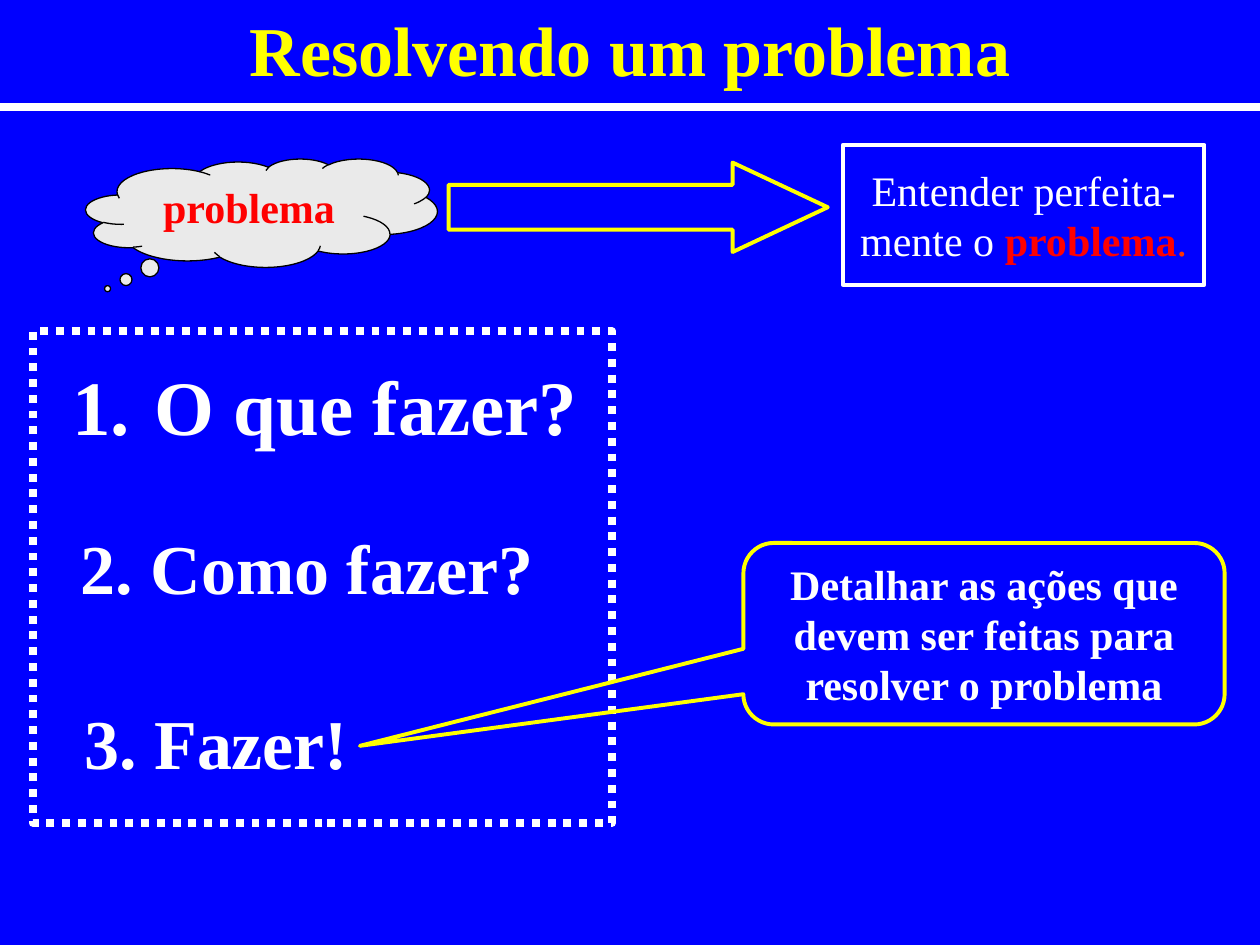
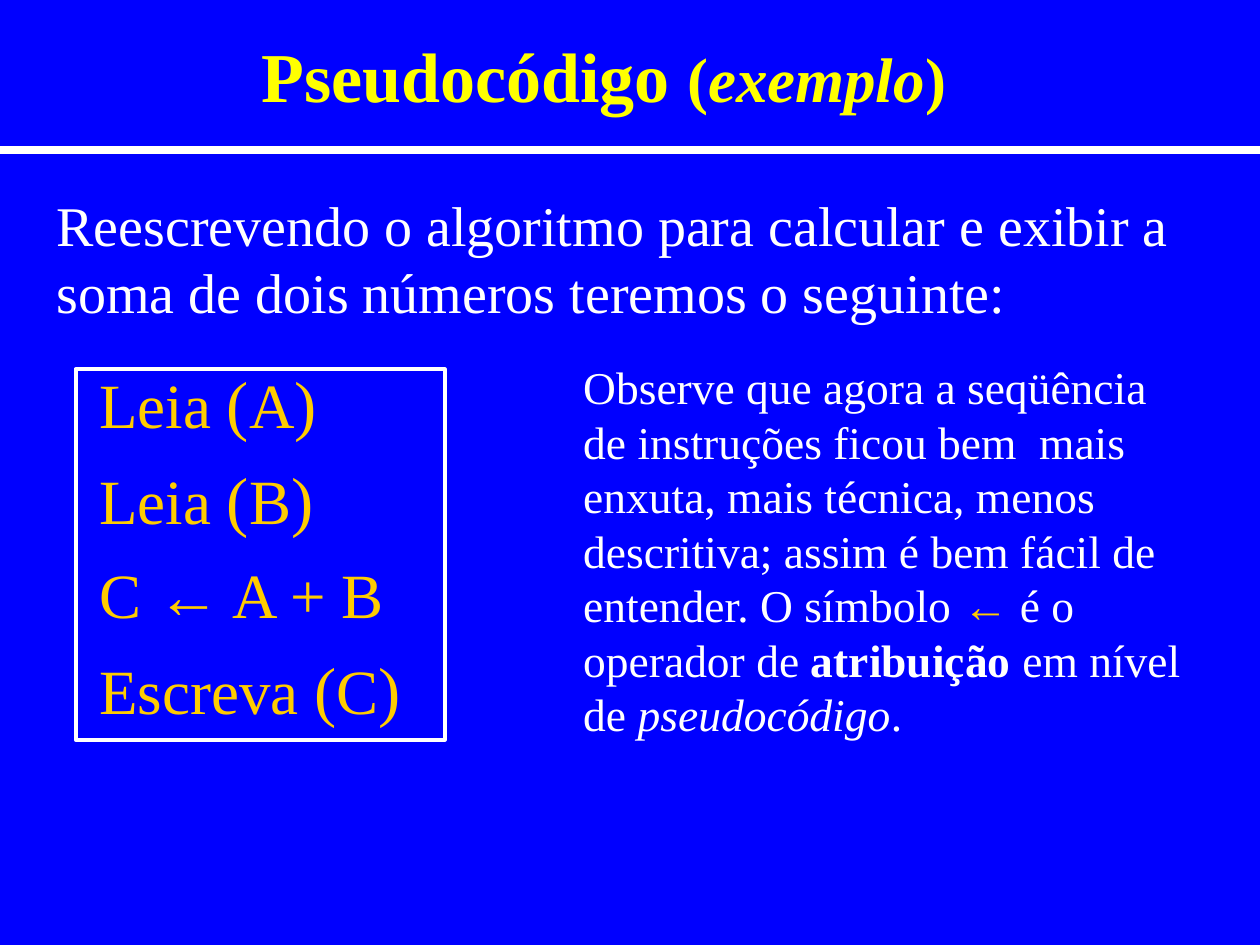
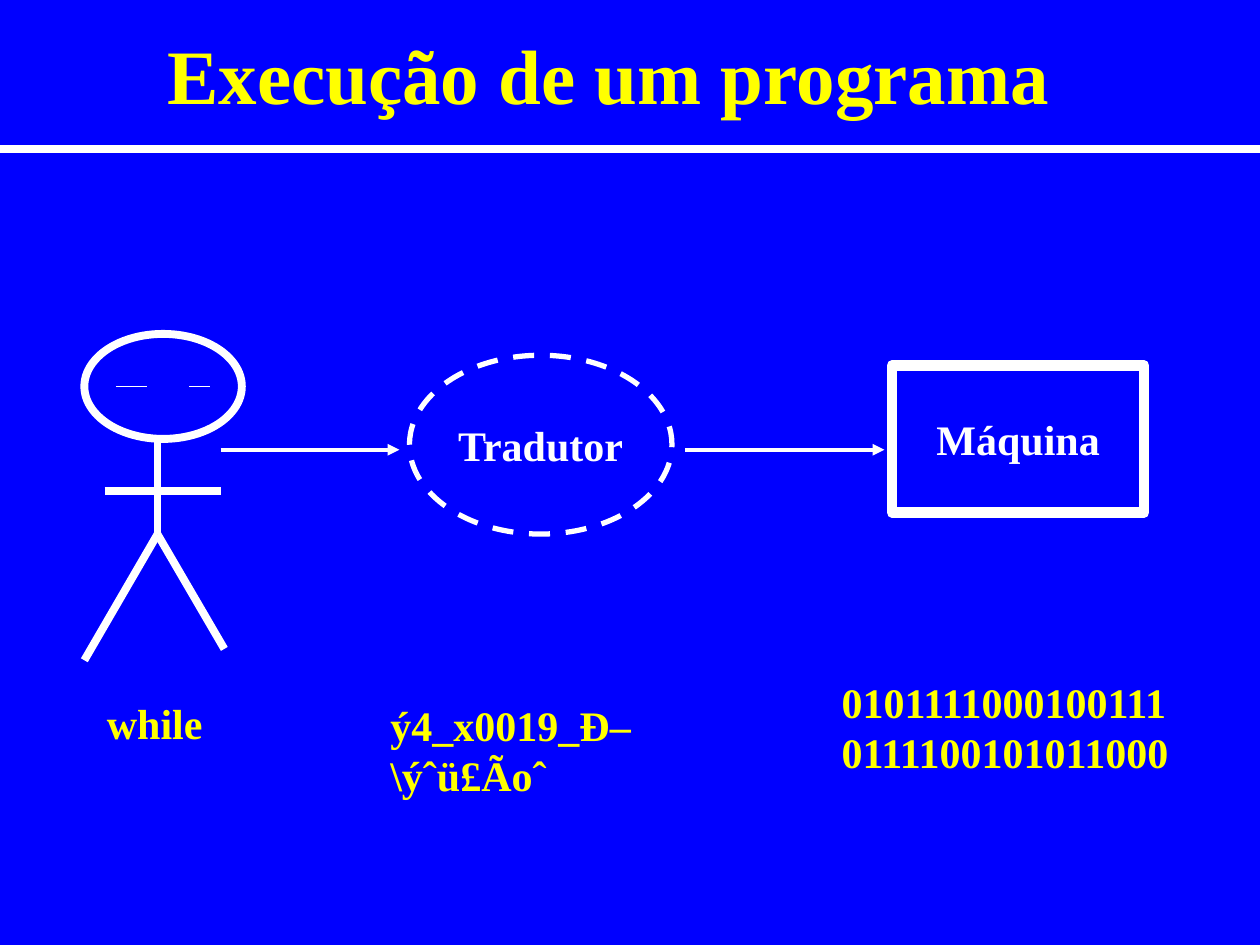
from lxml import etree
from pptx import Presentation
from pptx.dml.color import RGBColor
from pptx.enum.dml import MSO_LINE
from pptx.enum.shapes import MSO_CONNECTOR, MSO_SHAPE
from pptx.enum.text import MSO_ANCHOR, MSO_AUTO_SIZE, PP_ALIGN
from pptx.oxml.ns import qn
from pptx.util import Pt

WIDTH, HEIGHT = 720, 540
FONT = "Times New Roman"
BLUE, WHITE, YELLOW = "0000FF", "FFFFFF", "FFFF00"
RED, ORANGE, GOLD, GREY, BLACK = "FF0000", "FF3300", "FFCC00", "EAEAEA", "000000"
TITLE_ONLY, TITLE_AND_BODY = 5, 1

# A paragraph is a list of runs: (text, formatting that differs from the base)
PROBLEM = {
    "title": [("Resolvendo um problema", {})],
    "title_size": 40, "title_box": (54, -0.7, 612, 57), "rule_y": 61.2,
    # text, size, left offset, hanging indent, space before
    "steps": [("O que fazer?", 44, 0, 47, 0),
              ("Como fazer?", 40, 5, 40, 42.5),
              ("Fazer!", 40, 7, 40, 52)],
    "steps_box": (34, 201, 307, 258),
    "steps_frame": (18.7, 189.4, 331.2, 280.8),
    "cloud": [[("problema", {"colour": RED, "bold": True})]],
    "cloud_box": (49, 90.7, 200.9, 61.9),
    "arrow_box": (256.3, 92.9, 216.7, 51.1),
    "goal": [[("Entender perfeita-", {})],
             [("mente o ", {}), ("problema", {"colour": RED, "bold": True}),
              (".", {"colour": ORANGE})]],
    "goal_box": (481.7, 82.8, 206.6, 79.9),
    "detail": [[("Detalhar as ações que devem ser feitas para resolver o problema",
                 {"bold": True})]],
    "detail_box": (424.8, 310.3, 275, 103.7),
}

PAREN = {"size": 38}
PSEUDOCODE = {
    "title": [("Pseudocódigo ", {}), ("(", {"size": 36}),
              ("exemplo", {"size": 36, "italic": True}), (")", {"size": 36})],
    "title_size": 40, "title_box": (49, 13, 612, 59), "rule_y": 85.7,
    "title_right_inset": 27,
    "intro": [[("Reescrevendo o algoritmo para calcular e exibir a soma de dois "
                "números teremos o seguinte:", {})]],
    "intro_box": (25.2, 105.1, 668.9, 84.2),
    "code": [[("Leia ", {}), ("(", PAREN), ("A", {}), (")", PAREN)],
             [("Leia ", {}), ("(", PAREN), ("B", {}), (")", PAREN)],
             [("C ", {}), ("←", {"bold": True}), (" A + B", {})],
             [("Escreva ", {}), ("(", PAREN), ("C", {}), (")", PAREN)]],
    "code_box": (49.7, 216, 208.8, 202.3),
    "code_frame": (43.2, 211, 211, 211.7),
    "note": [[("Observe que agora a seqüência de instruções ficou bem  mais enxuta, "
               "mais técnica, menos descritiva; assim é bem fácil de entender. "
               "O símbolo ", {}),
              ("←", {"font": "Arial", "colour": GOLD, "bold": True}),
              (" é o operador de ", {}), ("atribuição", {"bold": True}),
              (" em nível de ", {}), ("pseudocódigo", {"italic": True}), (".", {})]],
    "note_box": (326.2, 201.6, 367.2, 225.4),
}

EXECUTION = {
    "title": [("Execução de um programa", {})],
    "title_size": 44, "title_box": (41.8, 12.2, 612, 59.8), "rule_y": 85,
    "head_box": (48.2, 190.8, 90, 60),
    "limbs": [((90, 251.3), (90, 305.3)), ((90, 305.3), (48.2, 377.3)),
              ((90, 305.3), (128.2, 370.8)), ((59.8, 280.8), (126, 280.8))],
    "features": [((66.2, 221), (84.2, 221)), ((108, 221), (120.2, 221)),
                 ((90, 239), (90, 239))],
    "flows": [((126, 257), (228.2, 257)), ((391.7, 257), (505.4, 257))],
    "translator": "Tradutor", "translator_box": (234, 203, 150, 102.2),
    "machine": "Máquina", "machine_box": (509.8, 208.8, 144, 84.2),
    "captions": [("while", (54, 395.3, 72, 36)),
                 ("ý4_x0019_Ð–\\ýˆü£Ãoˆ", (216, 396, 216, 65)),
                 ("01011110001001110111100101011000", (473.8, 383, 210.2, 65))],
}


def rgb(colour):
    return RGBColor.from_string(colour)


def add_runs(paragraph, runs, **base):
    for text, changes in runs:
        style = {"size": 24, "colour": WHITE, "bold": False, "italic": False,
                 "font": FONT, **base, **changes}
        run = paragraph.add_run()
        run.text = text
        run.font.size = Pt(style["size"])
        run.font.name = style["font"]
        run.font.bold = style["bold"]
        run.font.italic = style["italic"]
        run.font.color.rgb = rgb(style["colour"])


def write(frame, paragraphs, align=PP_ALIGN.LEFT, before=0, spacing=None, **base):
    for index, runs in enumerate(paragraphs):
        paragraph = frame.add_paragraph() if index else frame.paragraphs[0]
        paragraph.alignment = align
        paragraph.space_before = Pt(before)
        if spacing:
            paragraph.line_spacing = spacing
        add_runs(paragraph, runs, **base)


def place(shape, box):
    shape.left, shape.top, shape.width, shape.height = map(Pt, box)


def add_text(slide, box, paragraphs, **style):
    frame = slide.shapes.add_textbox(*map(Pt, box)).text_frame
    frame.word_wrap = True
    write(frame, paragraphs, **style)


def add_outline(shapes, kind, box, weight, colour=WHITE, fill=None, dash=None,
                adjustments=()):
    shape = shapes.add_shape(kind, *map(Pt, box))
    shape.shadow.inherit = False
    if fill:
        shape.fill.solid()
        shape.fill.fore_color.rgb = rgb(fill)
    else:
        shape.fill.background()
    shape.line.color.rgb = rgb(colour)
    shape.line.width = Pt(weight)
    if dash:
        shape.line.dash_style = dash
    for index, value in enumerate(adjustments):
        shape.adjustments[index] = value
    return shape


def label(shape, paragraphs, anchor=MSO_ANCHOR.MIDDLE, wrap=False, **base):
    shape.text_frame.word_wrap = wrap
    shape.text_frame.vertical_anchor = anchor
    write(shape.text_frame, paragraphs, PP_ALIGN.CENTER, **base)


def add_line(shapes, start, end, weight, arrow=False):
    line = shapes.add_connector(MSO_CONNECTOR.STRAIGHT, *map(Pt, start + end))
    line.line.color.rgb = rgb(WHITE)
    line.line.width = Pt(weight)
    properties = line._element.spPr
    if arrow:
        etree.SubElement(properties.find(qn("a:ln")), qn("a:tailEnd"), type="triangle")
    etree.SubElement(properties, qn("a:effectLst"))


def number(paragraph, left, hanging):
    """Give the paragraph an automatic number with a hanging indent."""
    properties = paragraph._p.get_or_add_pPr()
    properties.set("marL", str(Pt(left + hanging)))
    properties.set("indent", str(-Pt(hanging)))
    etree.SubElement(properties, qn("a:buFont"), typeface=FONT)
    etree.SubElement(properties, qn("a:buAutoNum"), type="arabicPeriod")


def start_slide(deck, content, layout=TITLE_ONLY):
    """Add a slide with the yellow title and the white rule below it."""
    slide = deck.slides.add_slide(deck.slide_layouts[layout])
    title = slide.shapes.title
    place(title, content["title_box"])
    frame = title.text_frame
    frame.auto_size = MSO_AUTO_SIZE.NONE
    frame.vertical_anchor = MSO_ANCHOR.MIDDLE
    frame.margin_right = Pt(content.get("title_right_inset", 7.2))
    write(frame, [content["title"]], PP_ALIGN.CENTER,
          size=content["title_size"], colour=YELLOW, bold=True)
    rule_y = content["rule_y"]
    add_line(slide.shapes, (0, rule_y), (WIDTH, rule_y), 4.5)
    return slide


def build_problem(deck):
    slide = start_slide(deck, PROBLEM, TITLE_AND_BODY)
    shapes = slide.shapes
    steps = slide.placeholders[1]
    place(steps, PROBLEM["steps_box"])
    frame = steps.text_frame
    frame.auto_size = MSO_AUTO_SIZE.NONE
    for index, (text, size, left, hanging, before) in enumerate(PROBLEM["steps"]):
        step = frame.add_paragraph() if index else frame.paragraphs[0]
        step.space_before = Pt(before)
        number(step, left, hanging)
        add_runs(step, [(text, {})], size=size, bold=True)

    add_outline(shapes, MSO_SHAPE.RECTANGLE, PROBLEM["steps_frame"], 4.5,
                dash=MSO_LINE.ROUND_DOT)
    detail = add_outline(shapes, MSO_SHAPE.ROUNDED_RECTANGULAR_CALLOUT,
                         PROBLEM["detail_box"], 2.25, YELLOW,
                         adjustments=(-1.297, 0.618, 0.167))
    label(detail, PROBLEM["detail"], MSO_ANCHOR.TOP, wrap=True)
    cloud = add_outline(shapes, MSO_SHAPE.CLOUD_CALLOUT, PROBLEM["cloud_box"], 0.75,
                        BLACK, GREY, adjustments=(-0.438, 0.7))
    label(cloud, PROBLEM["cloud"], MSO_ANCHOR.TOP, wrap=True)
    add_outline(shapes, MSO_SHAPE.RIGHT_ARROW, PROBLEM["arrow_box"], 2.25, YELLOW,
                adjustments=(0.5, 1.064))
    goal = add_outline(shapes, MSO_SHAPE.RECTANGLE, PROBLEM["goal_box"], 2.25)
    label(goal, PROBLEM["goal"])


def build_pseudocode(deck):
    slide = start_slide(deck, PSEUDOCODE)
    add_text(slide, PSEUDOCODE["intro_box"], PSEUDOCODE["intro"], before=20, size=32)
    add_text(slide, PSEUDOCODE["code_box"], PSEUDOCODE["code"], before=23,
             spacing=0.7, size=36, colour=GOLD)
    add_outline(slide.shapes, MSO_SHAPE.RECTANGLE, PSEUDOCODE["code_frame"], 2.25)
    add_text(slide, PSEUDOCODE["note_box"], PSEUDOCODE["note"], size=26)


def build_execution(deck):
    slide = start_slide(deck, EXECUTION)
    shapes = slide.shapes
    person = shapes.add_group_shape().shapes
    add_outline(person, MSO_SHAPE.OVAL, EXECUTION["head_box"], 4.5)
    for start, end in EXECUTION["limbs"]:
        add_line(person, start, end, 4.5)
    for start, end in EXECUTION["features"]:
        add_line(shapes, start, end, 0.75)
    for start, end in EXECUTION["flows"]:
        add_line(shapes, start, end, 2.25, arrow=True)
    machine = add_outline(shapes, MSO_SHAPE.RECTANGLE, EXECUTION["machine_box"], 6)
    label(machine, [[(EXECUTION["machine"], {})]], bold=True)
    translator = add_outline(shapes, MSO_SHAPE.OVAL, EXECUTION["translator_box"], 3,
                             dash=MSO_LINE.DASH)
    label(translator, [[(EXECUTION["translator"], {})]], bold=True)
    for text, box in EXECUTION["captions"]:
        add_text(slide, box, [[(text, {})]], colour=YELLOW, bold=True)


def main():
    deck = Presentation()
    deck.slide_width, deck.slide_height = Pt(WIDTH), Pt(HEIGHT)
    background = deck.slide_master.background.fill
    background.solid()
    background.fore_color.rgb = rgb(BLUE)
    build_problem(deck)
    build_pseudocode(deck)
    build_execution(deck)
    deck.save("out.pptx")


if __name__ == "__main__":
    main()
